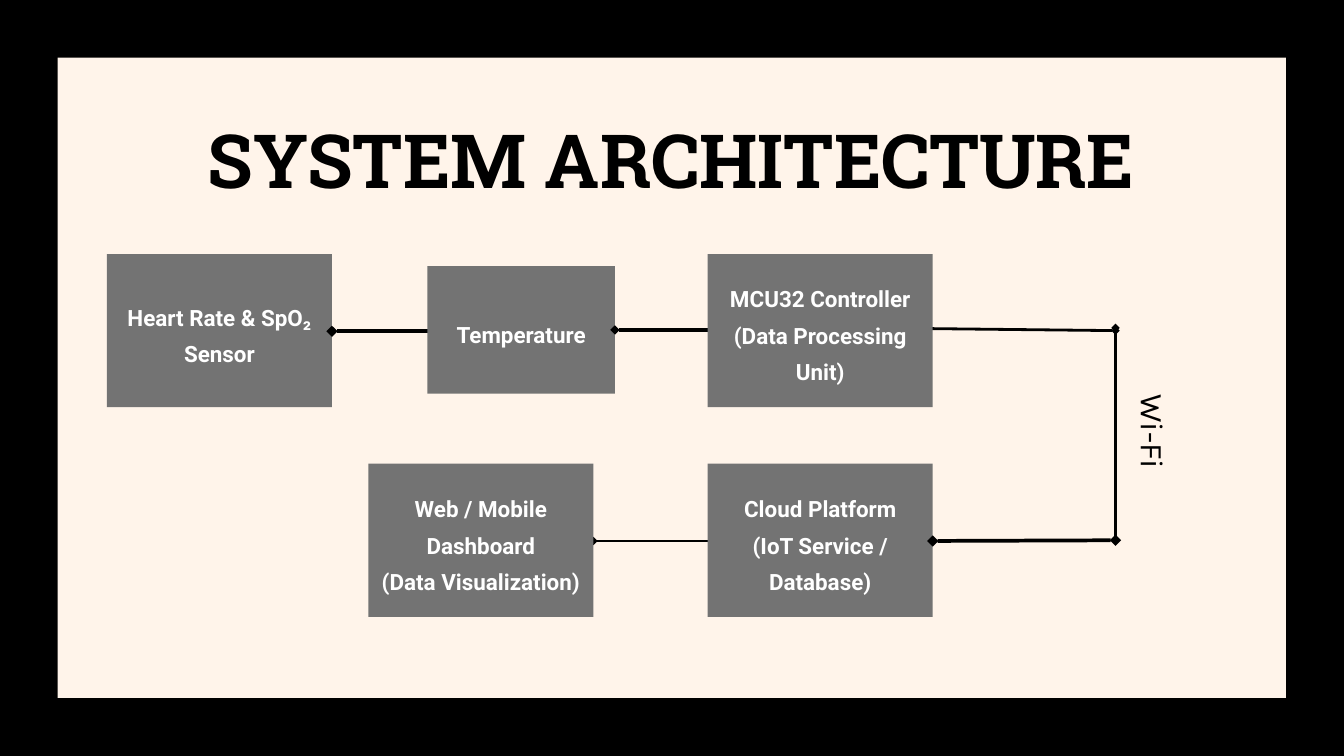
from lxml import etree
from pptx import Presentation
from pptx import util as u
from pptx.dml.color import RGBColor
from pptx.enum import shapes, text
from pptx.oxml.ns import qn

WIDTH, HEIGHT = 20, 11.25
BORDER = 0.86
BLACK, WHITE, CREAM, GREY = "000000", "FFFFFF", "FFF4EA", "737373"

BOX_W, BOX_H = 3.35, 2.28
SENSOR_X, DASHBOARD_X, TEMPERATURE_X, CONTROLLER_X = 1.59, 5.48, 6.36, 10.53
TOP_ROW, BOTTOM_ROW = 3.78, 6.9
TOP_LINK, BOTTOM_LINK = 4.91, 8.05
CONTROLLER_RIGHT = CONTROLLER_X + BOX_W
WIFI_X = 16.6


def colour(hex_string):
    return RGBColor.from_string(hex_string)


def format_text(frame, font, size, hex_string, spacing, bold=False):
    """Centre every paragraph and give it exact line spacing."""
    frame.word_wrap = True
    frame.auto_size = text.MSO_AUTO_SIZE.NONE
    frame.margin_left = frame.margin_right = 0
    frame.margin_top = frame.margin_bottom = 0
    for paragraph in frame.paragraphs:
        paragraph.alignment = text.PP_ALIGN.CENTER
        paragraph.line_spacing = u.Pt(spacing)
        for run in paragraph.runs:
            run.font.name = font
            run.font.size = u.Pt(size)
            run.font.bold = bold
            run.font.color.rgb = colour(hex_string)


def add_block(slide, left, top, width, height, fill):
    block = slide.shapes.add_shape(
        shapes.MSO_SHAPE.RECTANGLE,
        u.Inches(left), u.Inches(top), u.Inches(width), u.Inches(height))
    block.shadow.inherit = False
    block.fill.solid()
    block.fill.fore_color.rgb = colour(fill)
    block.line.fill.background()
    return block


def add_stage(slide, label, left, top, width=BOX_W, height=BOX_H):
    """Add one labelled component of the system."""
    stage = add_block(slide, left, top, width, height, GREY)
    frame = stage.text_frame
    frame.text = label
    frame.vertical_anchor = text.MSO_ANCHOR.MIDDLE
    format_text(frame, "Roboto", 24, WHITE, 39.1, bold=True)


def add_link(slide, x1, y1, x2, y2, weight=3):
    """Add a line with a diamond at each end."""
    link = slide.shapes.add_connector(
        shapes.MSO_CONNECTOR.STRAIGHT,
        u.Inches(x1), u.Inches(y1), u.Inches(x2), u.Inches(y2))
    link.line.color.rgb = colour(BLACK)
    link.line.width = u.Pt(weight)
    outline = link.line._get_or_add_ln()
    for end in ("a:headEnd", "a:tailEnd"):
        etree.SubElement(outline, qn(end), type="diamond")
    etree.SubElement(link._element.spPr, qn("a:effectLst"))


def add_border(slide):
    for left in (0, WIDTH - BORDER):
        add_block(slide, left, 0, BORDER, HEIGHT, BLACK)
    for top in (0, HEIGHT - BORDER):
        add_block(slide, 0, top, WIDTH, BORDER, BLACK)


def set_title(slide, wording):
    title = slide.shapes.title
    title.left, title.top = u.Inches(1.59), u.Inches(1.91)
    title.width, title.height = u.Inches(16.81), u.Inches(1.42)
    title.text_frame.text = wording
    title.text_frame.vertical_anchor = text.MSO_ANCHOR.TOP
    format_text(title.text_frame, "Roboto Slab", 80, BLACK, 80, bold=True)


def add_flow(slide):
    """Add stages and links from back to front; boxes cover some link ends."""
    add_stage(slide, "Heart Rate & SpO₂ Sensor", SENSOR_X, TOP_ROW)
    add_link(slide, SENSOR_X + BOX_W, 4.93, 6.91, 4.93, 4)
    add_stage(slide, "Temperature", TEMPERATURE_X, 3.96, 2.79, 1.9)
    add_link(slide, 9.15, TOP_LINK, 10.8, TOP_LINK, 3.34)
    add_link(slide, 12.89, 4.88, WIFI_X, 4.92)
    add_stage(slide, "MCU32 Controller\n(Data Processing Unit)",
              CONTROLLER_X, TOP_ROW)
    add_link(slide, DASHBOARD_X + BOX_W, BOTTOM_LINK, 10.8, BOTTOM_LINK)
    add_stage(slide, "Cloud Platform\n(IoT Service / Database)",
              CONTROLLER_X, BOTTOM_ROW)
    add_link(slide, CONTROLLER_RIGHT, BOTTOM_LINK, WIFI_X, 8.04, 4)
    add_link(slide, WIFI_X, 4.88, WIFI_X, 8.04)
    add_stage(slide, "Web / Mobile Dashboard\n(Data Visualization)",
              DASHBOARD_X, BOTTOM_ROW)


def add_wifi_label(slide):
    label = slide.shapes.add_textbox(
        u.Inches(14.98), u.Inches(6.11), u.Inches(4.5), u.Inches(0.63))
    label.rotation = 90
    label.text_frame.text = "Wi-Fi"
    format_text(label.text_frame, "Karla", 34, BLACK, 47.6)


def main():
    deck = Presentation()
    deck.slide_width, deck.slide_height = u.Inches(WIDTH), u.Inches(HEIGHT)
    slide = deck.slides.add_slide(deck.slide_layouts.get_by_name("Title Only"))
    slide.background.fill.solid()
    slide.background.fill.fore_color.rgb = colour(CREAM)
    add_border(slide)
    set_title(slide, "SYSTEM ARCHITECTURE")
    add_flow(slide)
    add_wifi_label(slide)
    deck.save("out.pptx")


if __name__ == "__main__":
    main()
